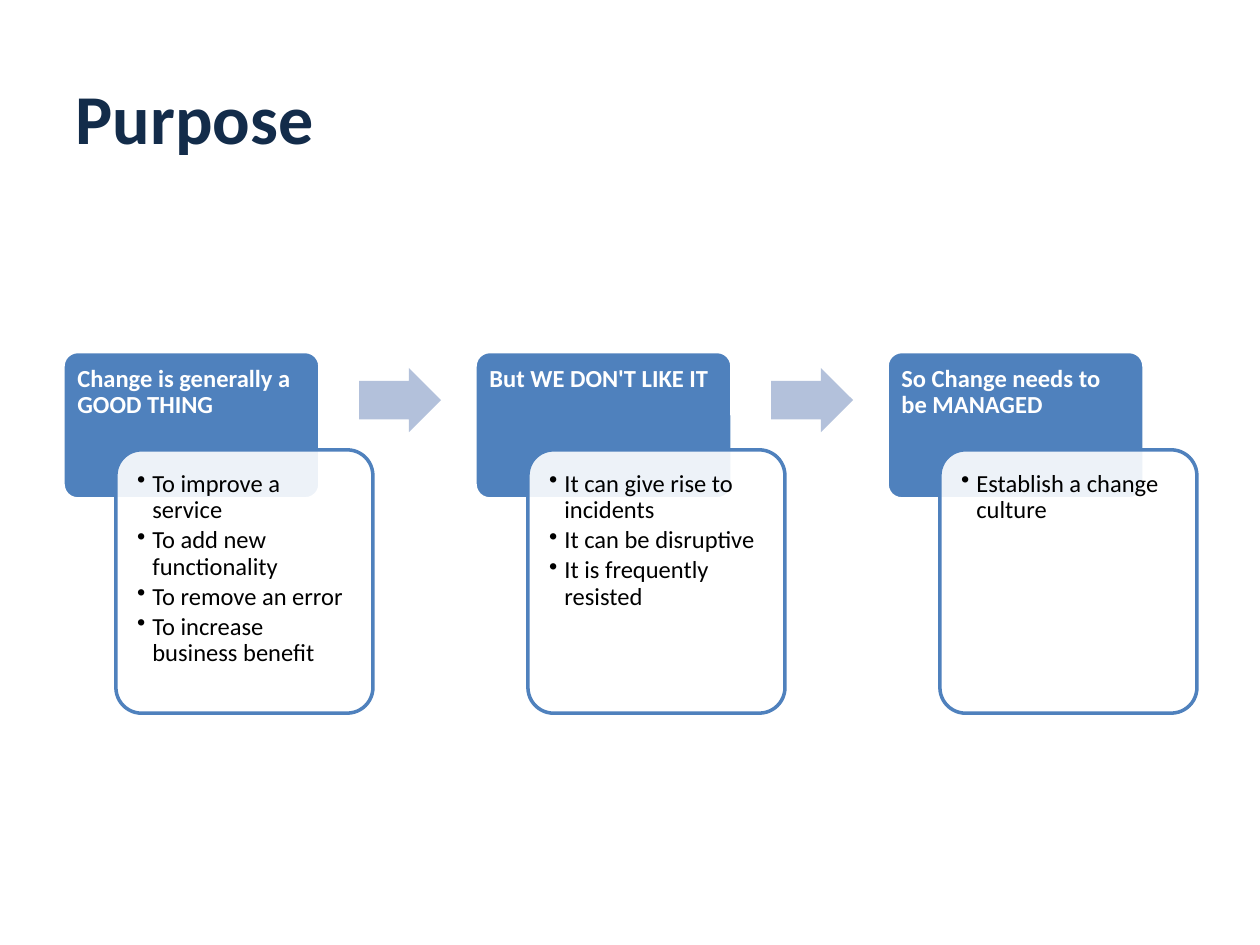
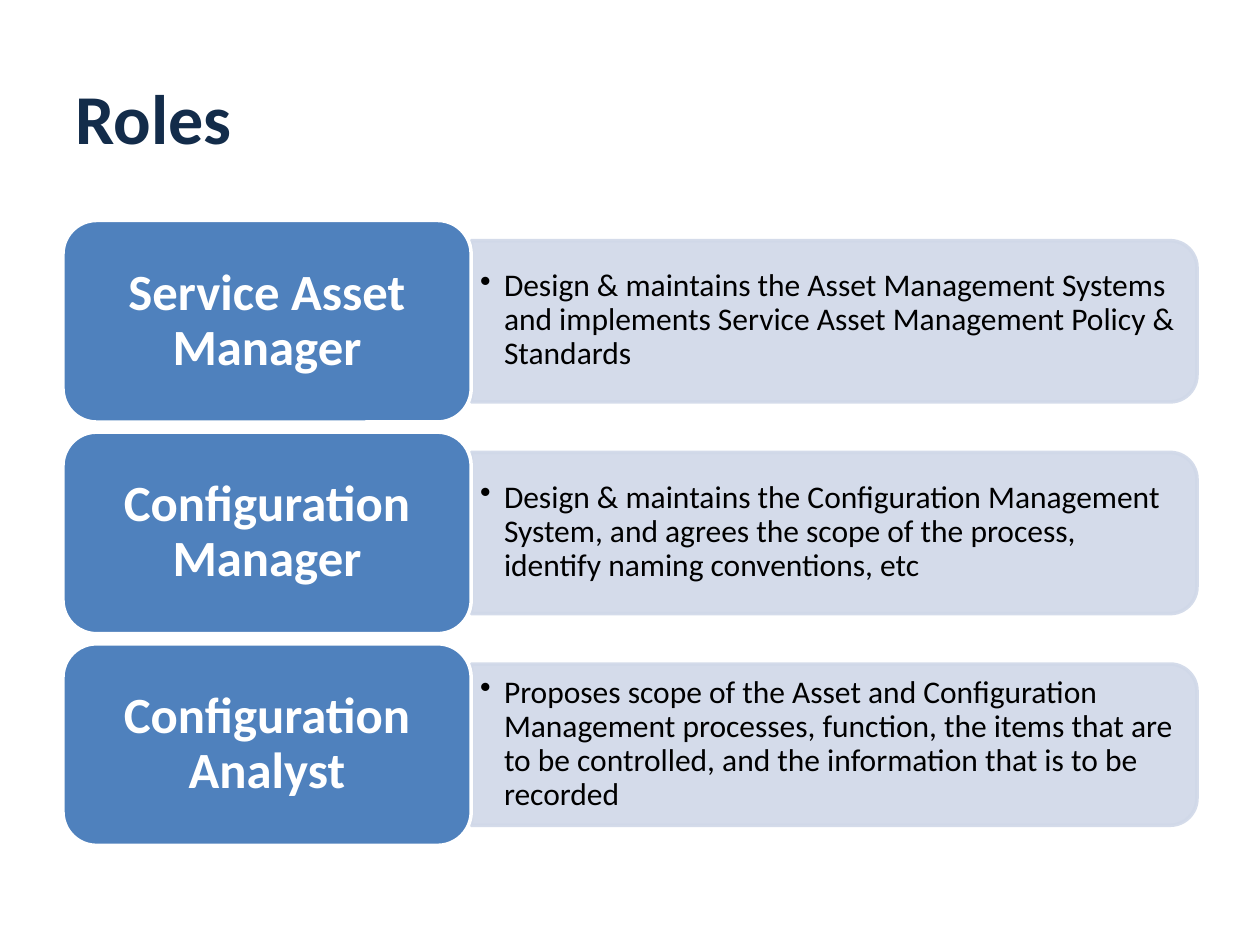
from pptx import Presentation
from pptx.dml.color import RGBColor
from pptx.enum.shapes import MSO_SHAPE as Shape
from pptx.enum.text import MSO_ANCHOR as Anchor, PP_ALIGN as Align
from pptx.oxml.ns import qn
from pptx.util import Inches, Pt
from lxml.etree import SubElement

# Shared style
FONT = "Calibri"
NAVY, BLUE, ARROW_BLUE, PALE_BLUE = "132C4A", "4F81BD", "B3C1DB", "D0D8E8"
WHITE, BLACK = "FFFFFF", "000000"
LEFT, RIGHT = 0.5, 9.5

# Content
STEPS = [
    ("Change is generally a GOOD THING",
     ["To improve a service", "To add new functionality",
      "To remove an error", "To increase business benefit"]),
    ("But WE DON'T LIKE IT",
     ["It can give rise to incidents", "It can be disruptive",
      "It is frequently resisted"]),
    ("So Change needs to be MANAGED", ["Establish a change culture"]),
]
ROLES = [
    ("Service Asset Manager",
     "Design & maintains the Asset Management Systems and implements "
     "Service Asset Management Policy & Standards"),
    ("Configuration Manager",
     "Design & maintains the Configuration Management System, and agrees "
     "the scope of the process, identify naming conventions, etc"),
    ("Configuration Analyst",
     "Proposes scope of the Asset and Configuration Management processes, "
     "function, the items that are to be controlled, and the information "
     "that is to be recorded"),
]


def rgb(hex_color):
    return RGBColor.from_string(hex_color)


def set_opacity(color_format, hex_color, percent):
    """Colour a solid fill and give it the stated opacity."""
    color_format.solid()
    color_format.fore_color.rgb = rgb(hex_color)
    if percent < 100:
        color = color_format._xPr.find(qn("a:solidFill"))[0]
        SubElement(color, qn("a:alpha"), val=str(percent * 1000))


def add_block(slide, kind, box, fill, line=None, adjust=(), opacity=100,
              line_opacity=100):
    block = slide.shapes.add_shape(kind, *map(Inches, box))
    block.shadow.inherit = False
    for index, value in enumerate(adjust):
        block.adjustments[index] = value
    set_opacity(block.fill, fill, opacity)
    if line:
        block.line.width = Pt(2)
        set_opacity(block.line.fill, line, line_opacity)
    else:
        block.line.fill.background()
    return block


def set_frame(frame, insets, anchor):
    frame.word_wrap = True
    frame.vertical_anchor = anchor
    (frame.margin_left, frame.margin_top,
     frame.margin_right, frame.margin_bottom) = map(Inches, insets)


def style_font(paragraph, size, color, bold=False):
    for run in paragraph.runs:
        font = run.font
        font.name, font.size, font.bold = FONT, Pt(size), bold
        font.color.rgb = rgb(color)


def write_heading(frame, text, size, insets, anchor, align):
    set_frame(frame, insets, anchor)
    frame.text = text
    heading = frame.paragraphs[0]
    heading.alignment = align
    heading.line_spacing = 0.9
    style_font(heading, size, WHITE, bold=True)


def write_bullets(frame, items, size, indent, insets, anchor):
    set_frame(frame, insets, anchor)
    frame.text = "\n".join(items)
    for item in frame.paragraphs:
        item.alignment = Align.LEFT
        item.line_spacing = 0.9
        item.space_after = Pt(2)
        style_font(item, size, BLACK)
        properties = item._p.get_or_add_pPr()
        properties.set("marL", str(Inches(indent)))
        properties.set("indent", str(-Inches(indent)))
        SubElement(properties, qn("a:buChar"), char="•")


def add_titled_slide(prs, text):
    slide = prs.slides.add_slide(prs.slide_layouts[5])
    title = slide.shapes.title
    title.left, title.top, title.width, title.height = map(
        Inches, (LEFT, 0.3, RIGHT - LEFT, 1.25))
    title.text_frame.text = text
    title.text_frame.vertical_anchor = Anchor.MIDDLE
    paragraph = title.text_frame.paragraphs[0]
    paragraph.alignment = Align.LEFT
    style_font(paragraph, 40, NAVY, bold=True)
    return slide


def add_step(slide, left, heading, items):
    """A heading block with a card of bullets overlapping its corner."""
    header = add_block(slide, Shape.ROUNDED_RECTANGLE,
                       (left, 2.79, 2.04, 1.17), BLUE, WHITE, [0.1])
    write_heading(header.text_frame, heading, 14,
                  (0.08, 0.08, 0.08, 0.06), Anchor.TOP, Align.LEFT)
    card = add_block(slide, Shape.ROUNDED_RECTANGLE,
                     (left + 0.42, 3.57, 2.04, 2.09), WHITE, BLUE, [0.1],
                     opacity=90)
    write_bullets(card.text_frame, items, 14, 0.12, (0.11,) * 4, Anchor.TOP)


def add_role(slide, top, name, duty):
    """A role name on the left and its duty in a band on the right."""
    name_width, height = 3.24, 1.6
    band_left, band_height = LEFT + name_width, 1.28
    band_width = RIGHT - band_left
    middle = top + height / 2

    # The band is a shape with two round top corners, turned to the right
    band = add_block(slide, Shape.ROUND_2_SAME_RECTANGLE,
                     (band_left + (band_width - band_height) / 2,
                      middle - band_width / 2, band_height, band_width),
                     PALE_BLUE, PALE_BLUE, opacity=90, line_opacity=90)
    band.rotation = 90
    duty_box = slide.shapes.add_textbox(
        *map(Inches, (band_left, middle - 0.58, 5.7, 1.15)))
    write_bullets(duty_box.text_frame, [duty], 18, 0.19,
                  (0.07, 0.04, 0.07, 0.04), Anchor.MIDDLE)

    role = add_block(slide, Shape.ROUNDED_RECTANGLE,
                     (LEFT, top, name_width, height), BLUE, WHITE)
    write_heading(role.text_frame, name, 29, (0.12, 0.06, 0.12, 0.06),
                  Anchor.MIDDLE, Align.CENTER)


def main():
    prs = Presentation()
    prs.slide_width, prs.slide_height = Inches(10), Inches(7.5)

    # Purpose: three steps joined by arrows
    purpose = add_titled_slide(prs, "Purpose")
    step_pitch = 3.27
    for index, (heading, items) in enumerate(STEPS):
        left = LEFT + index * step_pitch
        add_step(purpose, left, heading, items)
        if index < len(STEPS) - 1:
            add_block(purpose, Shape.RIGHT_ARROW,
                      (left + 2.35, 2.92, 0.65, 0.51), ARROW_BLUE,
                      adjust=[0.6, 0.5])

    # Roles: one row for each role
    roles = add_titled_slide(prs, "Roles")
    role_pitch = 1.68
    for index, (name, duty) in enumerate(ROLES):
        add_role(roles, 1.75 + index * role_pitch, name, duty)

    prs.save("out.pptx")


if __name__ == "__main__":
    main()
